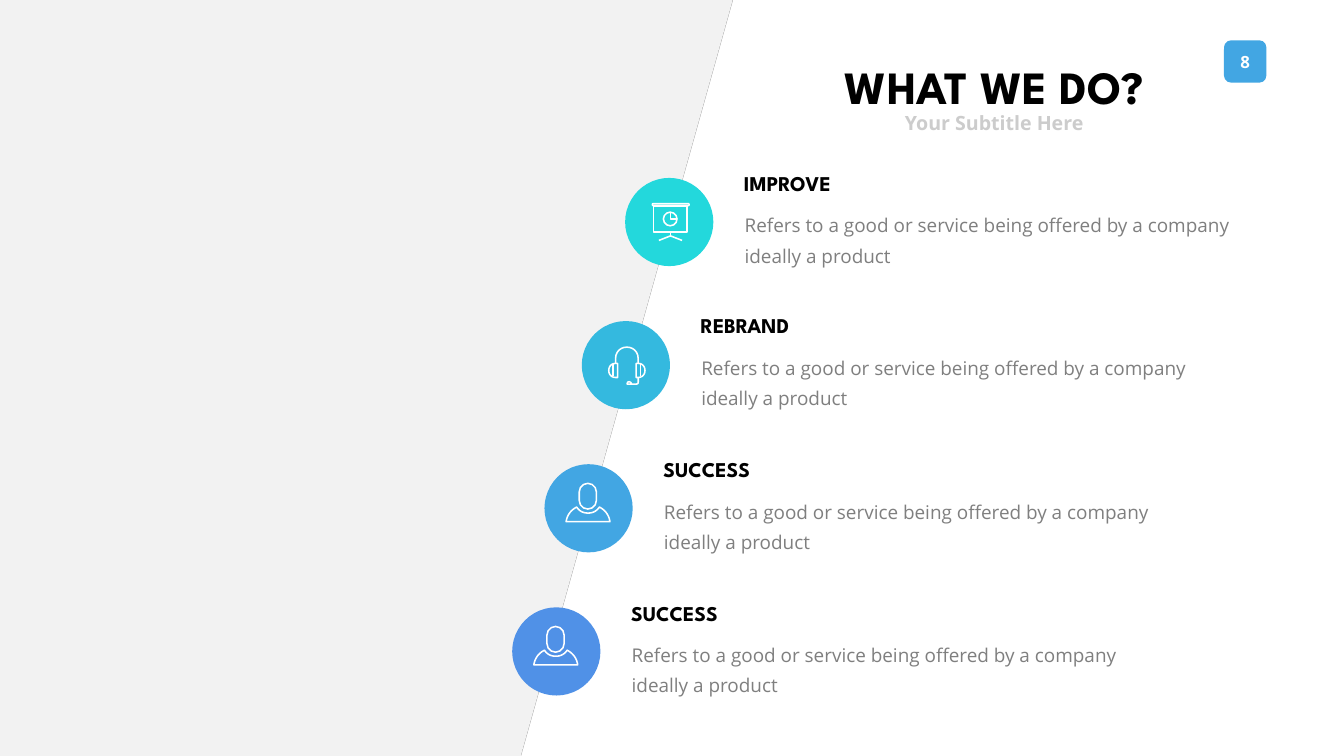
"""Build the "What we do?" slide: slanted panel with four icon rows."""
from lxml import etree
from pptx import Presentation
from pptx.dml.color import RGBColor
from pptx.enum.shapes import MSO_SHAPE
from pptx.enum.text import MSO_ANCHOR, MSO_AUTO_SIZE, PP_ALIGN
from pptx.oxml.ns import qn
from pptx.util import Inches, Pt

ELLIPSE, RECT, ROUND = MSO_SHAPE.OVAL, MSO_SHAPE.RECTANGLE, MSO_SHAPE.ROUNDED_RECTANGLE
TOP, MIDDLE = MSO_ANCHOR.TOP, MSO_ANCHOR.MIDDLE
LEFT, CENTER = PP_ALIGN.LEFT, PP_ALIGN.CENTER
NO_AUTOFIT = MSO_AUTO_SIZE.NONE

WHITE = RGBColor(0xFF, 0xFF, 0xFF)
BLACK = RGBColor(0x00, 0x00, 0x00)
PANEL = RGBColor(0xF2, 0xF2, 0xF2)
SUBTITLE = RGBColor(0xCC, 0xCC, 0xCC)
BODY = RGBColor(0x7F, 0x7F, 0x7F)
TURQUOISE = RGBColor(0x23, 0xD8, 0xDC)
CYAN = RGBColor(0x34, 0xB9, 0xDF)
BLUE = RGBColor(0x42, 0xA6, 0xE3)
INDIGO = RGBColor(0x50, 0x91, 0xE7)
HEADING_FONT, BODY_FONT = "League Spartan", "Open Sans"
DESCRIPTION = "Refers to a good or service being offered by a company ideally a product"

prs = Presentation()
prs.slide_width, prs.slide_height = Inches(26.66), Inches(15)
slide = prs.slides.add_slide(prs.slide_layouts[5])
shapes = slide.shapes


def curve(*controls, steps=12):
    """Return points along a cubic Bezier curve."""
    weights = [((1 - t) ** 3, 3 * t * (1 - t) ** 2, 3 * t * t * (1 - t), t ** 3)
               for t in (i / steps for i in range(steps + 1))]
    return [tuple(sum(w * c[axis] for w, c in zip(row, controls)) for axis in (0, 1))
            for row in weights]


def draw_path(points, closed, left=0, top=0):
    """Draw a freeform through points given in inches."""
    corners = [(Inches(left + x), Inches(top + y)) for x, y in points]
    builder = shapes.build_freeform(*corners[0])
    builder.add_line_segments(corners[1:], close=closed)
    path = builder.convert_to_shape()
    path.shadow.inherit = False
    return path


for panel_top, panel_color in ((0, BLACK), (-0.02, PANEL)):
    panel = draw_path([(0, 0), (14.54, 0), (10.33, 15.02), (0, 15.02)], True, top=panel_top)
    panel.fill.solid()
    panel.fill.fore_color.rgb = panel_color
    panel.line.fill.background()
    if panel_color == BLACK:
        tint = panel._element.spPr.find(".//" + qn("a:srgbClr"))
        etree.SubElement(tint, qn("a:alpha")).set("val", "42000")

half_body = (curve((0.43, 1.14), (0.44, 1.08), (0.47, 0.94), (0.64, 0.85))
             + curve((0.64, 0.85), (0.69, 0.93), (0.77, 0.97), (0.86, 0.97)))
body = half_body + [(1.73 - x, y) for x, y in reversed(half_body)]
left_cup = ([(0.71, 0.84)] + curve((0.67, 0.84), (0.49, 0.84), (0.49, 1.12), (0.67, 1.12))
            + [(0.71, 1.12)])
left_seam = [(0.62, 0.86), (0.62, 1.1)]
right_cup, right_seam = ([(1.79 - x, y) for x, y in part] for part in (left_cup, left_seam))
headband = ([(0.67, 0.84)] + curve((0.67, 0.75), (0.67, 0.44), (1.12, 0.44), (1.12, 0.75))
            + [(1.12, 0.84)])
microphone = ([(1.12, 1.12)] + curve((1.12, 1.2), (1.12, 1.24), (1.11, 1.25), (1.08, 1.25))
              + curve((0.9, 1.25), (0.9, 1.19), (0.97, 1.19), (0.99, 1.25)))

BOARD_ICON = {
    "presets": [(RECT, 0.56, 0.56, 0.67, 0.51), (ROUND, 0.54, 0.51, 0.73, 0.04),
                (ELLIPSE, 0.76, 0.68, 0.27, 0.27)],
    "paths": [([(0.9, 0.69), (0.9, 0.81), (1.02, 0.81)], False),
              ([(0.9, 1.07), (0.9, 1.15)], False),
              ([(0.67, 1.24), (0.9, 1.15), (1.13, 1.24)], False)],
}
HEADSET_ICON = {
    "presets": [],
    "paths": [(headband, False), (left_cup, True), (right_cup, True),
              (left_seam, False), (right_seam, False), (microphone, False)],
}
PERSON_ICON = {
    "presets": [(ROUND, 0.69, 0.38, 0.34, 0.51)],
    "paths": [(body, True)],
}

services = [
    ("IMPROVE", 12.4, 3.32, TURQUOISE, BOARD_ICON),
    ("REBRAND", 11.54, 6.14, CYAN, HEADSET_ICON),
    ("SUCCESS", 10.8, 9.01, BLUE, PERSON_ICON),
    ("SUCCESS", 10.16, 11.85, INDIGO, PERSON_ICON),
]

heading_font = {"name": HEADING_FONT, "size": Pt(30), "bold": True}
body_font = {"name": BODY_FONT, "size": Pt(27), "bold": False}
text_parts = [
    (shapes.title, "WHAT WE DO?", (16.05, 0.81, 7.35, 1.5), TOP, CENTER, Pt(100), 0.1,
     {"name": HEADING_FONT, "size": Pt(66), "bold": True}, BLACK),
    (None, "Your Subtitle Here", (17.83, 2.15, 3.78, 0.57), MIDDLE, CENTER, None, 0.1,
     {"name": BODY_FONT, "size": Pt(28), "bold": True}, SUBTITLE),
]

badge = shapes.add_shape(ROUND, 0, 0, 0, 0)
badge.shadow.inherit = False
badge.fill.solid()
badge.fill.fore_color.rgb = BLUE
badge.line.fill.background()
text_parts.append((badge, "8", (24.28, 0.8, 0.84, 0.84), MIDDLE, CENTER, None, 0.1,
                   {"name": BODY_FONT, "size": Pt(24), "bold": True}, WHITE))

for row, (heading, left, heading_top, color, icon) in enumerate(services):
    top = 3.53 + 2.84 * row
    text_parts += [
        (None, heading, (left + 2.26, heading_top, 2.3, 0.61), MIDDLE, LEFT, None, 0.1,
         heading_font, BLACK),
        (None, DESCRIPTION, (left + 2.13, heading_top + 0.66, 10.51, 1.45), TOP, LEFT, Pt(43),
         0.24, body_font, BODY),
    ]
    circle = shapes.add_shape(ELLIPSE, Inches(left), Inches(top), Inches(1.75), Inches(1.75))
    circle.shadow.inherit = False
    circle.fill.solid()
    circle.fill.fore_color.rgb = color
    circle.line.fill.background()

    strokes = [draw_path(points, closed, left, top) for points, closed in icon["paths"]]
    for preset, x, y, width, height in icon["presets"]:
        stroke = shapes.add_shape(preset, Inches(left + x), Inches(top + y),
                                  Inches(width), Inches(height))
        stroke.shadow.inherit = False
        if preset == ROUND:
            stroke.adjustments[0] = 0.5
        strokes.append(stroke)
    for stroke in strokes:
        stroke.fill.background()
        stroke.line.color.rgb = WHITE
        stroke.line.width = Pt(2.2)

for holder, text, box, anchor, align, spacing, inset, font, color in text_parts:
    holder = holder or shapes.add_textbox(0, 0, 0, 0)
    holder.left, holder.top, holder.width, holder.height = map(Inches, box)
    frame = holder.text_frame
    frame.text = text
    frame_format = {
        "auto_size": NO_AUTOFIT, "word_wrap": text == DESCRIPTION, "vertical_anchor": anchor,
        "margin_left": Inches(inset), "margin_right": Inches(inset),
        "margin_top": Inches(inset / 2), "margin_bottom": Inches(inset / 2),
    }
    for key, value in frame_format.items():
        setattr(frame, key, value)
    paragraph = frame.paragraphs[0]
    paragraph.alignment = align
    paragraph.line_spacing = spacing
    for key, value in font.items():
        setattr(paragraph.runs[0].font, key, value)
    paragraph.runs[0].font.color.rgb = color

prs.save("out.pptx")
